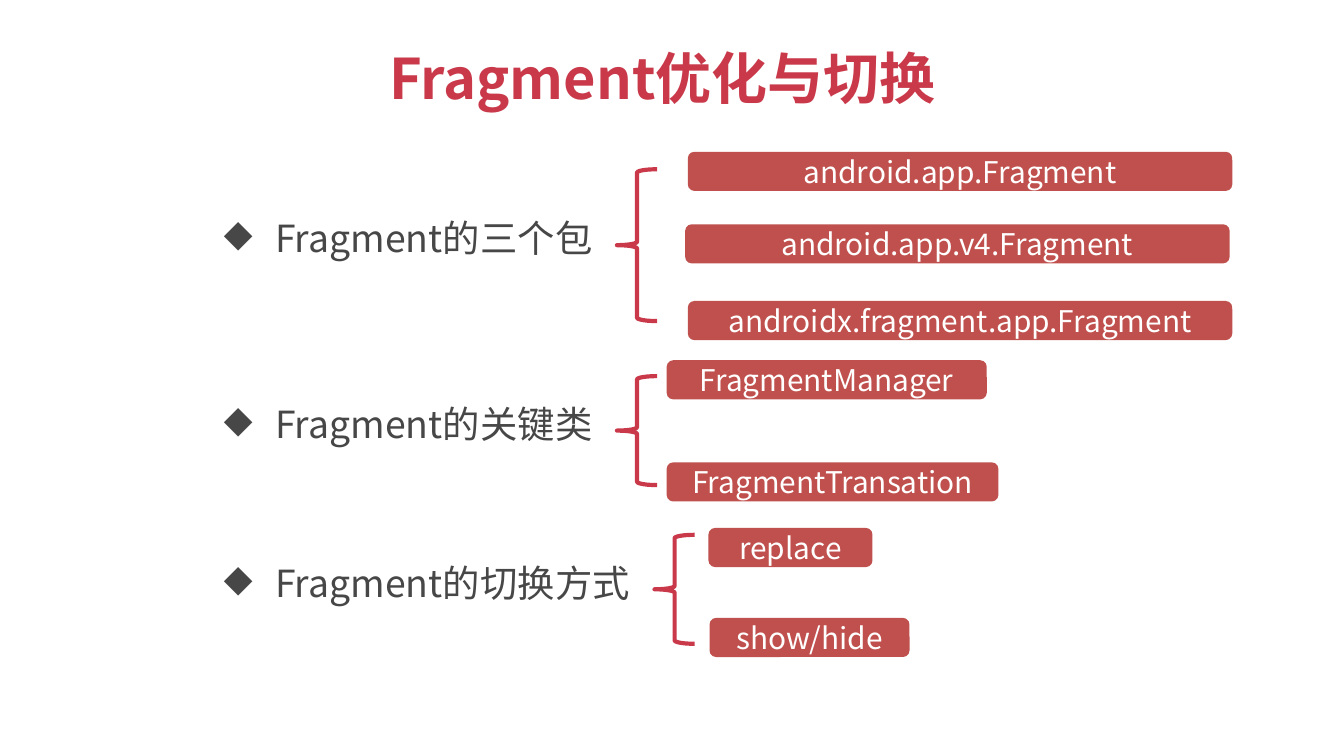
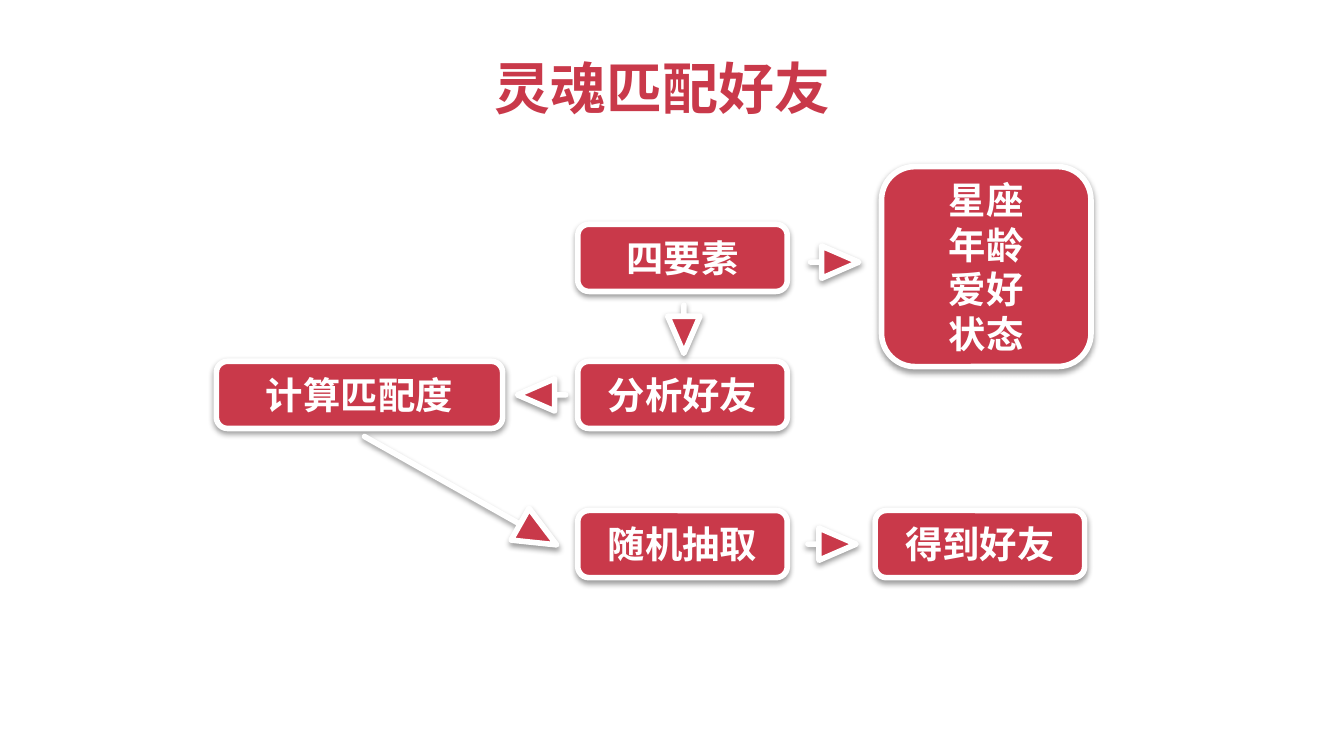
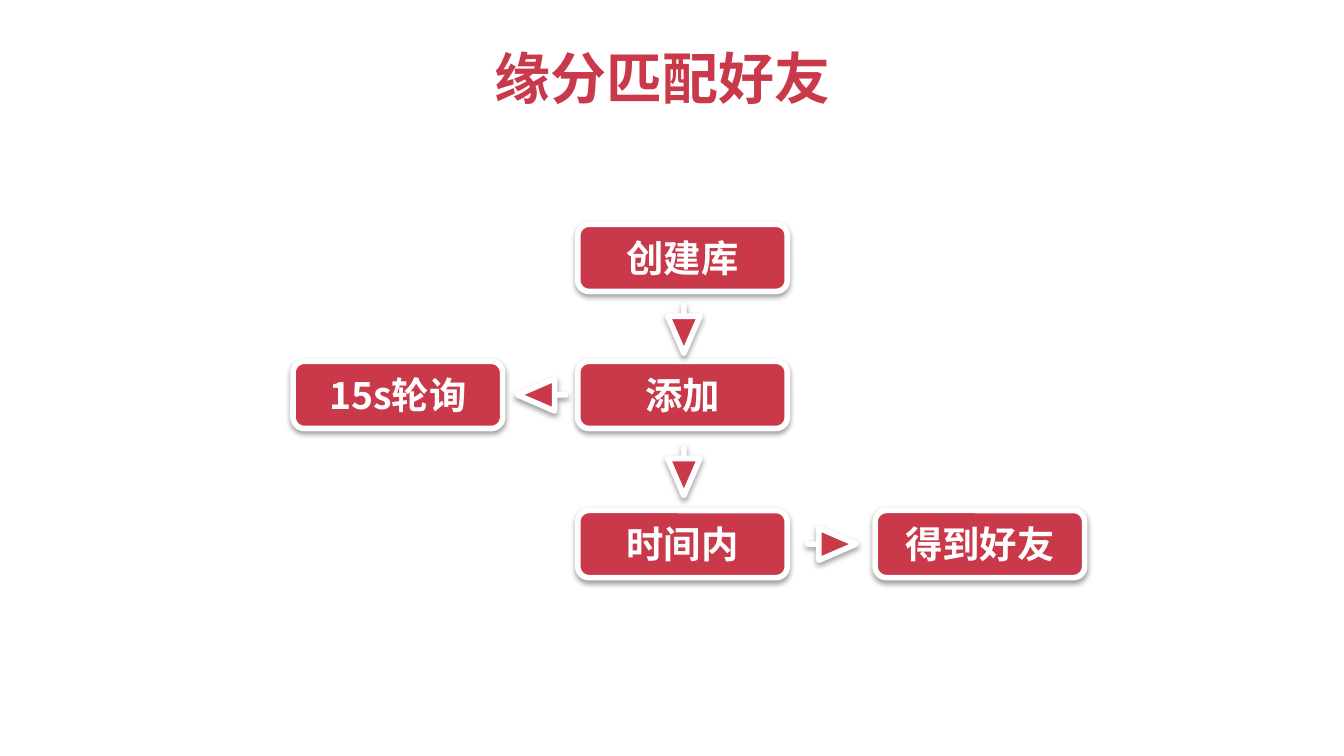
from dataclasses import dataclass

from lxml.etree import SubElement
from pptx import Presentation
from pptx.dml.color import RGBColor
from pptx.enum.shapes import MSO_SHAPE
from pptx.enum.text import MSO_ANCHOR, MSO_AUTO_SIZE, PP_ALIGN
from pptx.oxml.ns import qn
from pptx.shapes.autoshape import Shape
from pptx.slide import Slide
from pptx.util import Cm, Pt

FONT = "Noto Sans CJK SC"
COLORS = {
    "red": "C9394A",
    "brick": "C0504D",
    "gray": "474747",
    "white": "FFFFFF",
    "shadow": "000000",
}

# Flow chart grid, in centimetres
BOX_WIDTH, BOX_HEIGHT = 3.96, 1.27
MIDDLE_COLUMN, RIGHT_COLUMN = 10.92, 16.54
LEFT_COLUMN_END = 9.5
ROWS = (4.24, 6.83, 9.65)
PILL_HEIGHT = 0.74


@dataclass(frozen=True)
class Box:
    text: str
    left: float
    top: float
    width: float = BOX_WIDTH
    height: float = BOX_HEIGHT


@dataclass(frozen=True)
class Arrow:
    left: float
    top: float
    rotation: float = 0
    width: float = 0.61
    height: float = 0.91


@dataclass(frozen=True)
class Topic:
    label: Box
    brace: Box
    pills: tuple[Box, ...]


def color(name: str) -> RGBColor:
    return RGBColor.from_string(COLORS[name])


# Text
def write(shape: Shape, text: str, size: int, color_name: str,
          bold: bool = False, bullet: str = "") -> None:
    frame = shape.text_frame
    frame.word_wrap = True
    frame.vertical_anchor = MSO_ANCHOR.MIDDLE
    frame.text = text
    for paragraph in frame.paragraphs:
        if bullet:
            paragraph.level = 1
            properties = paragraph._p.get_or_add_pPr()
            properties.set("marL", str(Cm(2.24)))
            properties.set("indent", str(Cm(-0.97)))
            SubElement(properties, qn("a:buChar"), char=bullet)
        else:
            paragraph.alignment = PP_ALIGN.CENTER
        font = paragraph.font
        font.size, font.bold, font.name = Pt(size), bold, FONT
        font.color.rgb = color(color_name)
        defaults = paragraph._p.pPr.find(qn("a:defRPr"))
        SubElement(defaults, qn("a:ea"), typeface=FONT)


def add_text(slide: Slide, box: Box) -> Shape:
    return slide.shapes.add_textbox(
        Cm(box.left), Cm(box.top), Cm(box.width), Cm(box.height))


def add_title(slide: Slide, text: str, top: float = 0.74) -> None:
    title = Box(text, 1.09, top, 22.86, 1.42)
    write(add_text(slide, title), text, 30, "red", bold=True)


# Shapes
def add_plain_shape(slide: Slide, kind: MSO_SHAPE, item: Box | Arrow) -> Shape:
    shape = slide.shapes.add_shape(
        kind, Cm(item.left), Cm(item.top), Cm(item.width), Cm(item.height))
    shape.shadow.inherit = False
    return shape


def add_raised_shape(slide: Slide, kind: MSO_SHAPE, item: Box | Arrow) -> Shape:
    """Red shape with a white outline and a soft shadow below."""
    shape = add_plain_shape(slide, kind, item)
    shape.fill.solid()
    shape.fill.fore_color.rgb = color("red")
    shape.line.color.rgb = color("white")
    shape.line.width = Pt(3)
    effects = shape._element.spPr.find(qn("a:effectLst"))
    shadow = SubElement(effects, qn("a:outerShdw"), blurRad=str(Pt(3.1)),
                        dist=str(Pt(1.6)), dir="5400000", rotWithShape="0")
    shade = SubElement(shadow, qn("a:srgbClr"), val=COLORS["shadow"])
    SubElement(shade, qn("a:alpha"), val="38000")
    return shape


def add_flow(slide: Slide, boxes: list[Box], arrows: list[Arrow]) -> None:
    for box in boxes:
        shape = add_raised_shape(slide, MSO_SHAPE.ROUNDED_RECTANGLE, box)
        write(shape, box.text, 20, "white", bold=True)
    for arrow in arrows:
        shape = add_raised_shape(slide, MSO_SHAPE.DOWN_ARROW, arrow)
        shape.adjustments[0] = 0
        shape.adjustments[1] = 1.15
        shape.rotation = arrow.rotation


def add_topic(slide: Slide, topic: Topic) -> None:
    label = add_text(slide, topic.label)
    write(label, topic.label.text, 20, "gray", bullet="◆")
    label.text_frame.auto_size = MSO_AUTO_SIZE.SHAPE_TO_FIT_TEXT

    brace = add_plain_shape(slide, MSO_SHAPE.LEFT_BRACE, topic.brace)
    brace.fill.background()
    brace.line.color.rgb = color("red")
    brace.line.width = Pt(2.25)

    for pill in topic.pills:
        shape = add_plain_shape(
            slide, MSO_SHAPE.FLOWCHART_ALTERNATE_PROCESS, pill)
        shape.fill.solid()
        shape.fill.fore_color.rgb = color("brick")
        shape.line.fill.background()
        write(shape, pill.text, 16, "white")


def topic_label(text: str, top: float) -> Box:
    return Box(text, 2.71, top, 23.8, 1.12)


def topic_brace(left: float, top: float, height: float) -> Box:
    return Box("", left, top, 0.76, height)


def pill(text: str, left: float, top: float, width: float = 10.29) -> Box:
    return Box(text, left, top, width, PILL_HEIGHT)


def left_box(text: str, width: float = BOX_WIDTH) -> Box:
    return Box(text, LEFT_COLUMN_END - width, ROWS[1], width)


# Slide content
TOPICS = (
    Topic(topic_label("Fragment的三个包", 3.94), topic_brace(11.66, 3.2, 2.87), (
        pill("android.app.Fragment", 13, 2.87),
        pill("android.app.v4.Fragment", 12.95, 4.24),
        pill("androidx.fragment.app.Fragment", 13, 5.69),
    )),
    Topic(topic_label("Fragment的关键类", 7.44), topic_brace(11.66, 7.11, 2.06), (
        pill("FragmentManager", 12.6, 6.81, 6.05),
        pill("FragmentTransation", 12.6, 8.74, 6.27),
    )),
    Topic(topic_label("Fragment的切换方式", 10.46), topic_brace(12.37, 10.11, 2.06), (
        pill("replace", 13.39, 9.98, 3.1),
        pill("show/hide", 13.41, 11.68, 3.78),
    )),
)

FRIEND_BOX = Box("得到好友", RIGHT_COLUMN, ROWS[2])
SHARED_ARROWS = [
    Arrow(12.62, 5.77),
    Arrow(9.93, 7.01, 90),
    Arrow(15.42, 9.83, 270),
]


def middle_boxes(*texts: str) -> list[Box]:
    return [Box(text, MIDDLE_COLUMN, top) for text, top in zip(texts, ROWS)]


def main() -> None:
    presentation = Presentation()
    presentation.slide_width, presentation.slide_height = Cm(25.4), Cm(14.29)
    blank = presentation.slide_layouts[6]

    # Fragment topics
    slide = presentation.slides.add_slide(blank)
    add_title(slide, "Fragment优化与切换")
    for topic in TOPICS:
        add_topic(slide, topic)

    # Soul matching
    slide = presentation.slides.add_slide(blank)
    add_title(slide, "灵魂匹配好友", top=0.94)
    add_flow(
        slide,
        middle_boxes("四要素", "分析好友", "随机抽取") + [
            left_box("计算匹配度", 5.41),
            FRIEND_BOX,
            Box("星座\n年龄\n爱好\n状态", 16.66, 3.15, height=3.78),
        ],
        SHARED_ARROWS + [
            Arrow(8.36, 7.19, 299.4, 0.69, 4.17),
            Arrow(15.47, 4.5, 270),
        ],
    )

    # Fate matching
    slide = presentation.slides.add_slide(blank)
    add_title(slide, "缘分匹配好友")
    add_flow(
        slide,
        middle_boxes("创建库", "添加", "时间内") + [left_box("15s轮询"), FRIEND_BOX],
        SHARED_ARROWS + [Arrow(12.62, 8.46)],
    )

    presentation.save("out.pptx")


if __name__ == "__main__":
    main()
